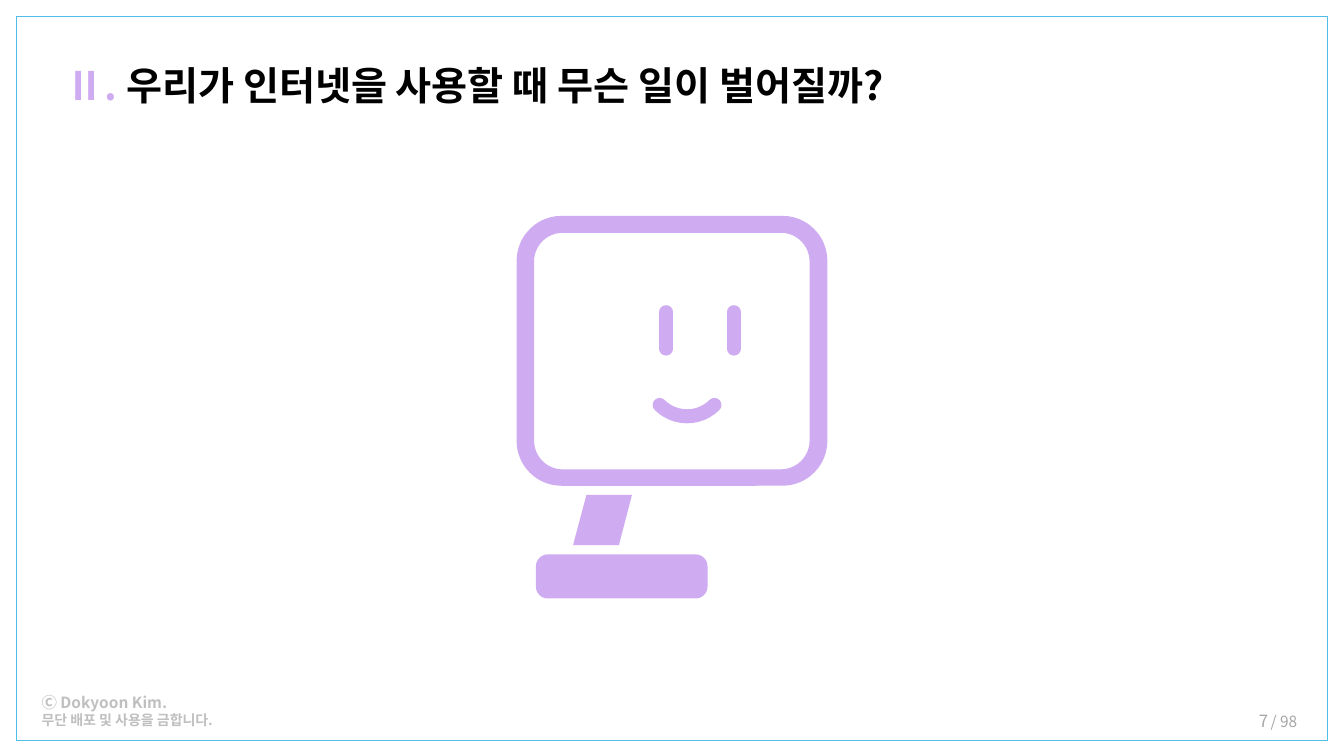
from dataclasses import dataclass

from lxml import etree
from pptx import Presentation
from pptx.dml.color import RGBColor
from pptx.enum.shapes import MSO_CONNECTOR, MSO_SHAPE
from pptx.enum.text import MSO_ANCHOR, PP_ALIGN
from pptx.oxml.ns import qn
from pptx.util import Pt

STRAIGHT = MSO_CONNECTOR.STRAIGHT
RECTANGLE, ROUNDED, ARC = MSO_SHAPE.RECTANGLE, MSO_SHAPE.ROUNDED_RECTANGLE, MSO_SHAPE.ARC
LEFT, RIGHT = PP_ALIGN.LEFT, PP_ALIGN.RIGHT
TOP, MIDDLE = MSO_ANCHOR.TOP, MSO_ANCHOR.MIDDLE

FONT = "Noto Sans CJK KR"
LILAC, BLACK, BORDER_BLUE = "CFACF1", "000000", "4FBDEB"
NOTICE_GRAY, PAGE_GRAY = "BFBFBF", "A6A6A6"
FACE_STROKE = 10
QUARTER_TURN = 90 * 60000

Points = list[tuple[float, float]]


@dataclass(frozen=True)
class Box:
    left: float
    top: float
    width: float
    height: float

    def in_points(self) -> tuple:
        return Pt(self.left), Pt(self.top), Pt(self.width), Pt(self.height)


@dataclass(frozen=True)
class RoundedBox:
    box: Box
    radius: float

    def corner_ends(self) -> Points:
        """Start and end of each corner, clockwise from the top left."""
        box, radius = self.box, self.radius
        right, bottom = box.left + box.width, box.top + box.height
        return [
            (box.left, box.top + radius), (box.left + radius, box.top),
            (right - radius, box.top), (right, box.top + radius),
            (right, bottom - radius), (right - radius, bottom),
            (box.left + radius, bottom), (box.left, bottom - radius),
        ]


@dataclass(frozen=True)
class Run:
    text: str
    size: float
    color: str
    bold: bool = False


@dataclass(frozen=True)
class Label:
    box: Box
    lines: list[list[Run]]
    align: PP_ALIGN = LEFT
    anchor: MSO_ANCHOR = TOP
    wrap: bool = True
    left_inset: float = 7.2


def rgb(hex_color: str) -> RGBColor:
    return RGBColor.from_string(hex_color)


def add_label(shapes, label: Label) -> None:
    frame = shapes.add_textbox(*label.box.in_points()).text_frame
    frame.word_wrap = label.wrap
    frame.vertical_anchor = label.anchor
    frame.margin_left = Pt(label.left_inset)
    for index, line in enumerate(label.lines):
        paragraph = frame.add_paragraph() if index else frame.paragraphs[0]
        paragraph.alignment = label.align
        for part in line:
            run = paragraph.add_run()
            run.text = part.text
            font = run.font
            font.name, font.size, font.bold = FONT, Pt(part.size), part.bold
            font.color.rgb = rgb(part.color)


def fill_plain(shape, color: str) -> None:
    shape.fill.solid()
    shape.fill.fore_color.rgb = rgb(color)
    shape.line.fill.background()
    shape.shadow.inherit = False


def outline(shape, color: str, width: float) -> None:
    shape.line.color.rgb = rgb(color)
    shape.line.width = Pt(width)


def round_ends(shape) -> None:
    shape.line._get_or_add_ln().set("cap", "rnd")


def add_outline_shape(shapes, contours: list[Points], color: str):
    builder = None
    for contour in contours:
        start, *others = [(Pt(x), Pt(y)) for x, y in contour]
        if builder is None:
            builder = shapes.build_freeform(*start)
        else:
            builder.move_to(*start)
        builder.add_line_segments(others, close=True)
    shape = builder.convert_to_shape()
    fill_plain(shape, color)
    return shape


def add_casing(shapes, edges: list[RoundedBox], color: str) -> None:
    """Draw nested rounded boxes as one ring, turning corner cuts into arcs."""
    casing = add_outline_shape(shapes, [edge.corner_ends() for edge in edges], color)
    segments = list(casing._element.iter(qn("a:lnTo")))
    per_edge = len(segments) // len(edges)
    for number, edge in enumerate(edges):
        corners = segments[number * per_edge:(number + 1) * per_edge:2]
        radius = str(Pt(edge.radius))
        for turn, cut in enumerate(corners):
            arc = etree.Element(qn("a:arcTo"), wR=radius, hR=radius,
                                stAng=str((turn + 2) % 4 * QUARTER_TURN),
                                swAng=str(QUARTER_TURN))
            cut.getparent().replace(cut, arc)


def add_border(shapes) -> None:
    border = shapes.add_shape(RECTANGLE, *Box(11.5, 11.5, 936.7, 517.7).in_points())
    border.fill.background()
    border.shadow.inherit = False
    outline(border, BORDER_BLUE, 0.5)


def add_monitor(shapes) -> None:
    monitor = shapes.add_group_shape().shapes
    add_casing(monitor, [
        RoundedBox(Box(381.5, 166.3, 196.8, 169), 20.5),
        RoundedBox(Box(369, 154.2, 222, 192.8), 32.2),
    ], LILAC)
    foot = monitor.add_shape(ROUNDED, *Box(382.8, 396, 122.6, 31.5).in_points())
    foot.adjustments[0] = 0.27
    fill_plain(foot, LILAC)
    neck = [(418.9, 353.6), (451.4, 353.6), (442.1, 389.5), (409.3, 389.5)]
    add_outline_shape(monitor, [neck], LILAC)


def add_eye(shapes, x: float) -> None:
    eye = shapes.add_connector(STRAIGHT, Pt(x), Pt(223), Pt(x), Pt(249))
    outline(eye, LILAC, FACE_STROKE)
    round_ends(eye)
    etree.SubElement(eye._element.spPr, qn("a:effectLst"))


def add_smile(shapes) -> None:
    smile = shapes.add_shape(ARC, *Box(463, 242, 55.4, 55.4).in_points())
    smile.rotation = 135
    smile.fill.background()
    smile.shadow.inherit = False
    outline(smile, LILAC, FACE_STROKE)
    round_ends(smile)


LABELS = [
    Label(Box(22.6, 491.3, 224.6, 32.4), [
        [Run("Ⓒ Dokyoon Kim.", 11, NOTICE_GRAY, True)],
        [Run("무단 배포 및 사용을 금합니다.", 10, NOTICE_GRAY, True)],
    ]),
    Label(Box(890.6, 505.4, 63.4, 20.9), [[Run("/ 98", 11, PAGE_GRAY)]],
          wrap=False, left_inset=17),
    Label(Box(39.6, 40.3, 740.9, 41), [[
        Run("Ⅱ. ", 28, LILAC, True),
        Run("우리가 인터넷을 사용할 때 무슨 일이 벌어질까?", 28, BLACK, True),
    ]]),
    Label(Box(697, 500.4, 216, 28.8), [[Run("7", 12, PAGE_GRAY)]], RIGHT, MIDDLE),
]


def main() -> None:
    deck = Presentation()
    deck.slide_width, deck.slide_height = Pt(960), Pt(540)
    shapes = deck.slides.add_slide(deck.slide_layouts[6]).shapes
    add_border(shapes)
    for label in LABELS:
        add_label(shapes, label)
    add_monitor(shapes)
    for eye_x in (475.9, 524.2):
        add_eye(shapes, eye_x)
    add_smile(shapes)
    deck.save("out.pptx")


if __name__ == "__main__":
    main()
